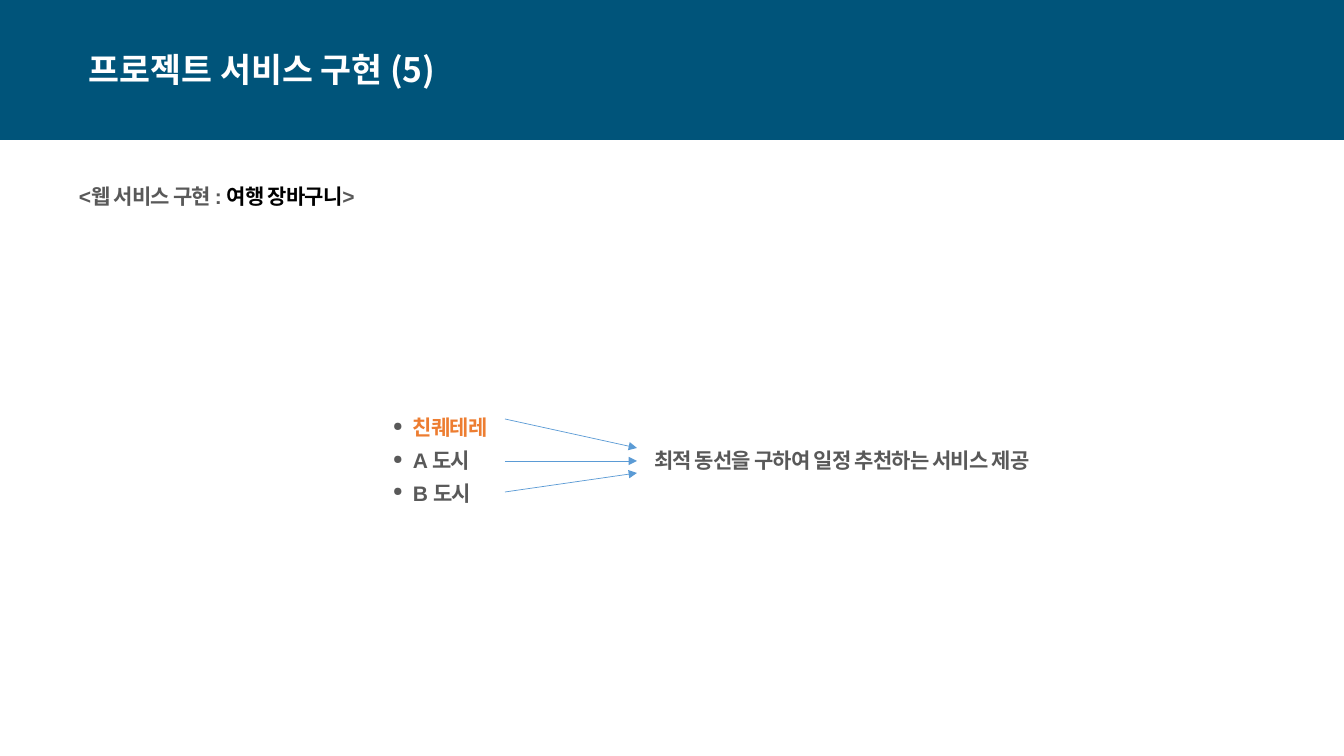
from lxml import etree
from pptx import Presentation, util as u
from pptx.dml.color import RGBColor
from pptx.enum import shapes, text
from pptx.oxml.ns import qn

# Content
HEX = {"band": "00547A", "white": "FFFFFF", "gray": "595959",
       "black": "000000", "orange": "ED7D31", "blue": "5B9BD5"}
HANGUL = "Noto Sans CJK KR"
TITLE = [[("프로젝트 서비스 구현 (5)", "white")]]
HEAD = [[("<웹 서비스 구현 : ", "gray"), ("여행 장바구니", "black"), (">", "gray")]]
TOWN = [[("친퀘테레", "orange")]]
CITIES = [[("A 도시", "gray")], [("B 도시", "gray")]]
GOAL = [[("최적 동선을 구하여 일정 추천하는 서비스 제공", "gray")]]

# Layout, in px: body boxes are (paragraphs, place, bulleted)
WIDE, HIGH, BAND = 1344, 756, 140
LEFT, LIST, ROW = 79, 393, 448
BODY = [(HEAD, (LEFT, 184, 484, 25), False),
        (TOWN, (LIST, 415, 138, 25), True),
        (CITIES, (LIST, ROW, 138, 58), True),
        (GOAL, (654, ROW, 428, 25), False)]
TAIL, TIP = 505, 637
ARROWS = [(419, 448), (461, 461), (492, 473)]


def px(n):
    return u.Emu(round(n * 914400 / 100.8))


def color(name):
    return RGBColor.from_string(HEX[name])


def add(node, tag, **attrs):
    return etree.SubElement(node, qn(tag), attrs)


def bullet(para):
    props = para._p.get_or_add_pPr()
    props.set("marL", str(px(20)))
    props.set("indent", str(-px(20)))
    add(add(props, "a:buClr"), "a:srgbClr", val=HEX["gray"])
    add(props, "a:buSzPct", val="60000")
    add(props, "a:buChar", char="●")


def write(paras, place, size, face, inset=None, gap=0, track=0, marks=False):
    frame = slide.shapes.add_textbox(*map(px, place)).text_frame
    frame.word_wrap = True
    frame.auto_size = text.MSO_AUTO_SIZE.SHAPE_TO_FIT_TEXT
    if inset is not None:
        frame.margin_left = frame.margin_right = inset
        frame.margin_top = frame.margin_bottom = inset
    for i, runs in enumerate(paras):
        para = frame.add_paragraph() if i else frame.paragraphs[0]
        para.space_before = u.Pt(gap)
        if marks:
            bullet(para)
        for words, tint in runs:
            run = para.add_run()
            run.text = words
            font = run.font
            font.size, font.bold, font.name = u.Pt(size), True, face
            font.color.rgb = color(tint)
            props = run._r.get_or_add_rPr()
            props.set("spc", str(track))
            add(props, "a:ea", typeface=HANGUL)


deck = Presentation()
deck.slide_width, deck.slide_height = px(WIDE), px(HIGH)
slide = deck.slides.add_slide(deck.slide_layouts[6])

# Title band
band = slide.shapes.add_shape(shapes.MSO_SHAPE.RECTANGLE, 0, 0, px(WIDE), px(BAND))
band.shadow.inherit = False
band.fill.solid()
band.fill.fore_color.rgb = color("band")
band.line.fill.background()
write(TITLE, (LEFT, 44, 401, 50), 24, HANGUL)

# Body text
for paras, place, marks in BODY:
    write(paras, place, 15, "Arial", inset=0, gap=5, track=-60, marks=marks)

# Arrows from the cities to the goal
for start, end in ARROWS:
    arrow = slide.shapes.add_connector(shapes.MSO_CONNECTOR.STRAIGHT,
                                       px(TAIL), px(start), px(TIP), px(end))
    arrow.line.color.rgb = color("blue")
    arrow.line.width = u.Pt(0.5)
    add(arrow.line._get_or_add_ln(), "a:tailEnd", type="triangle")
    add(arrow._element.spPr, "a:effectLst")

deck.save("out.pptx")
